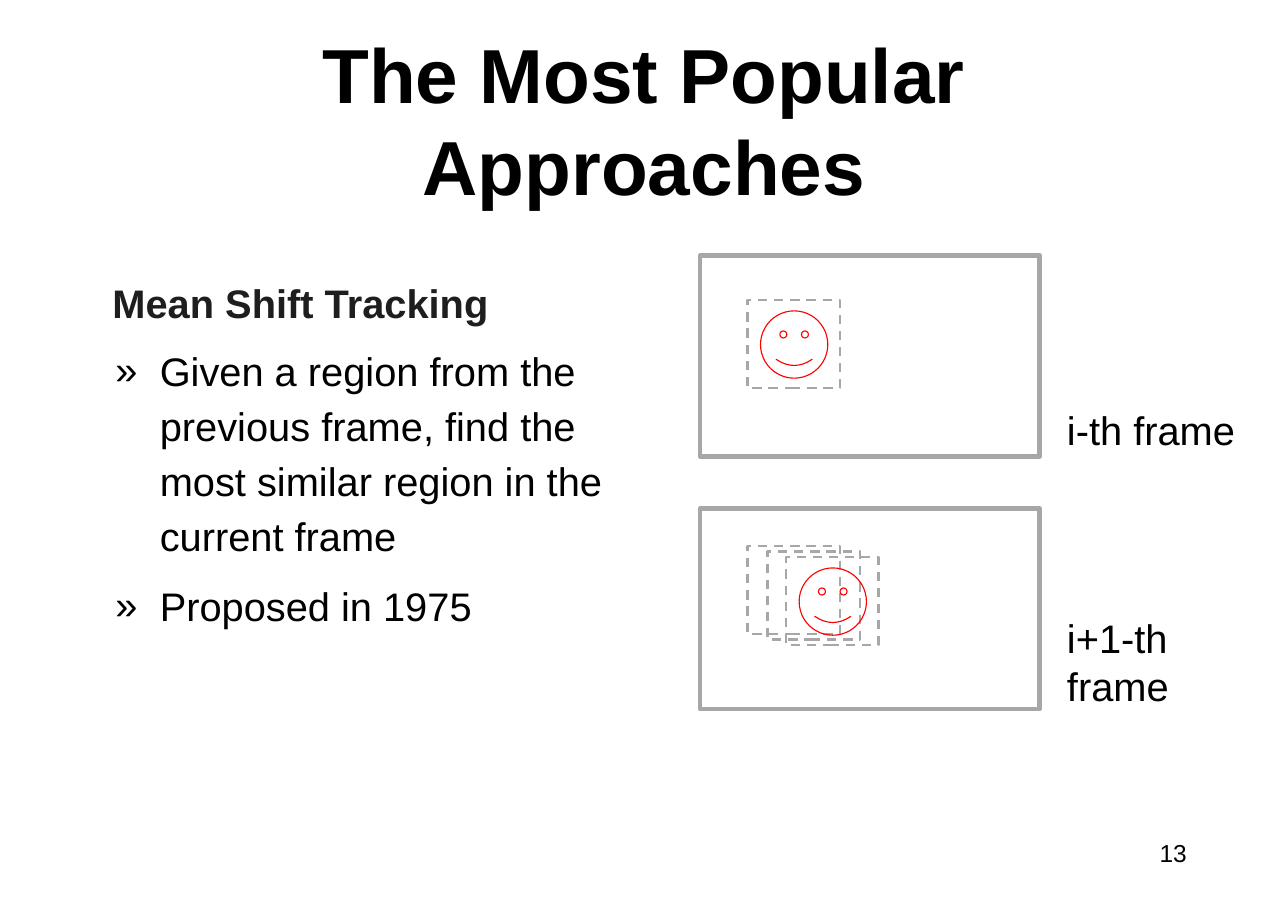
from lxml import etree
from pptx import Presentation
from pptx.dml.color import RGBColor
from pptx.enum.dml import MSO_LINE
from pptx.enum.shapes import MSO_SHAPE
from pptx.enum.text import MSO_ANCHOR, MSO_AUTO_SIZE, PP_ALIGN
from pptx.oxml.ns import qn
from pptx.util import Cm, Pt

RECT, SMILEY = MSO_SHAPE.RECTANGLE, MSO_SHAPE.SMILEY_FACE
TOP, MIDDLE, BOTTOM = MSO_ANCHOR.TOP, MSO_ANCHOR.MIDDLE, MSO_ANCHOR.BOTTOM
LEFT, CENTER, RIGHT = PP_ALIGN.LEFT, PP_ALIGN.CENTER, PP_ALIGN.RIGHT
DASH, NO_FIT = MSO_LINE.DASH, MSO_AUTO_SIZE.NONE

FONT = "Arial"
BLACK, DARK, GREY, RED = "000000", "1E1E1E", "A7A7A7", "FF0000"
FRAME_W, FRAME_H = 7.82, 4.62
WINDOW_W, WINDOW_H = 2.13, 2.03
FACE = 1.55


def rgb(color):
    return RGBColor.from_string(color)


def place(sp, x, y, w, h):
    sp.left, sp.top, sp.width, sp.height = Cm(x), Cm(y), Cm(w), Cm(h)


def setup_text(sp, anchor=TOP, inset=0.15):
    tf = sp.text_frame
    tf.word_wrap = True
    tf.auto_size = NO_FIT
    tf.vertical_anchor = anchor
    tf.margin_left = tf.margin_right = Cm(inset)
    tf.margin_top = tf.margin_bottom = Cm(inset)
    return tf


def write(p, text, size, color=BLACK, bold=False, align=LEFT):
    p.alignment = align
    p.space_before = Pt(0)
    r = p.add_run()
    r.text = text
    r.font.name, r.font.size, r.font.bold = FONT, Pt(size), bold
    r.font.color.rgb = rgb(color)


def add_bullet(p, char):
    pPr = p._p.get_or_add_pPr()
    pPr.set("marL", str(Cm(1.09)))
    pPr.set("indent", str(Cm(-1.02)))
    bu_clr = etree.SubElement(pPr, qn("a:buClr"))
    etree.SubElement(bu_clr, qn("a:srgbClr")).set("val", BLACK)
    etree.SubElement(pPr, qn("a:buFont")).set("typeface", FONT)
    etree.SubElement(pPr, qn("a:buChar")).set("char", char)


def add_label(s, text, x, y, w, h, size, align=LEFT, inset=0.25):
    sp = s.shapes.add_textbox(Cm(x), Cm(y), Cm(w), Cm(h))
    tf = setup_text(sp, inset=inset)
    write(tf.paragraphs[0], text, size, align=align)


def add_outline(s, kind, x, y, w, h, color, weight, dash=None):
    sp = s.shapes.add_shape(kind, Cm(x), Cm(y), Cm(w), Cm(h))
    sp.shadow.inherit = False
    sp.fill.background()
    sp.line.color.rgb = rgb(color)
    sp.line.width = Pt(weight)
    if dash:
        sp.line.dash_style = dash
    etree.SubElement(sp.line._get_or_add_ln(), qn("a:round"))


def add_title(s, x, y, w, h):
    sp = s.shapes.title
    place(sp, x, y, w, h)
    tf = setup_text(sp, MIDDLE)
    write(tf.paragraphs[0], "The Most Popular Approaches", 50, bold=True, align=CENTER)


def add_method(s, x, y, w, h, heading, points):
    # Heading in the upper part, bullets in the rest
    head_h = 2.51
    head, body = s.placeholders[1], s.placeholders[2]
    place(head, x, y, w, head_h)
    tf = setup_text(head, BOTTOM)
    write(tf.paragraphs[0], heading, 26, DARK, bold=True)

    place(body, x, y + head_h, w, h - head_h)
    tf = setup_text(body)
    for i, point in enumerate(points):
        p = tf.add_paragraph() if i else tf.paragraphs[0]
        add_bullet(p, "»")
        write(p, point, 26)
        p.line_spacing = 1.15
        p.space_before = Pt(10 if i else 0)


def add_frame(s, x, y, windows, label, label_dy):
    add_outline(s, RECT, x, y, FRAME_W, FRAME_H, GREY, 3)
    # Search windows; the face sits in the last one
    for dx, dy in windows:
        add_outline(s, RECT, x + dx, y + dy, WINDOW_W, WINDOW_H, GREY, 1.5, DASH)
    add_outline(s, SMILEY, x + dx + 0.3, y + dy + 0.25, FACE, FACE, RED, 0.75)
    add_label(s, label, x + 8.2, y + label_dy, 4.47, 1.55, 26)


def main():
    prs = Presentation()
    prs.slide_width, prs.slide_height = Cm(29.67), Cm(20.98)
    s = prs.slides.add_slide(prs.slide_layouts[4])

    # Title and text column
    add_title(s, 2.21, 0.99, 25.25, 3.5)
    add_method(s, 2.44, 5.16, 12.55, 13.79, "Mean Shift Tracking", [
        "Given a region from the previous frame, find the most similar "
        "region in the current frame",
        "Proposed in 1975",
    ])
    for sp in list(s.placeholders):
        if not sp.text_frame.text:
            sp._element.getparent().remove(sp._element)

    # Two consecutive video frames
    add_frame(s, 16.13, 5.89, [(1.09, 1.02)], "i-th frame", 3.2)
    add_frame(s, 16.13, 11.71, [(1.09, 0.86), (1.55, 0.99), (1.98, 1.12)],
              "i+1-th frame", 2.18)

    # Page number
    add_label(s, "13", 26.52, 19.15, 0.97, 0.91, 16, RIGHT, 0.15)
    prs.save("out.pptx")


if __name__ == "__main__":
    main()
